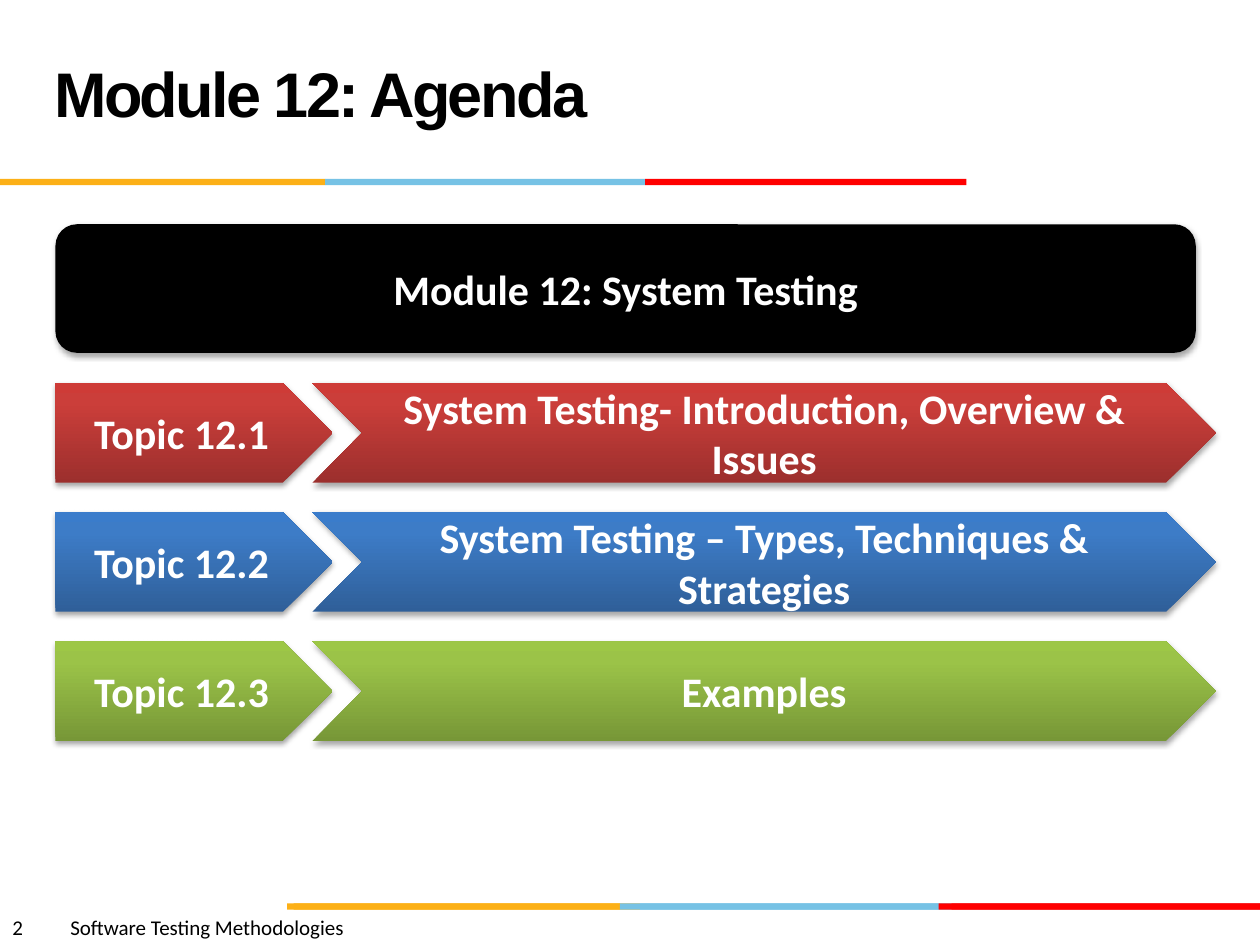
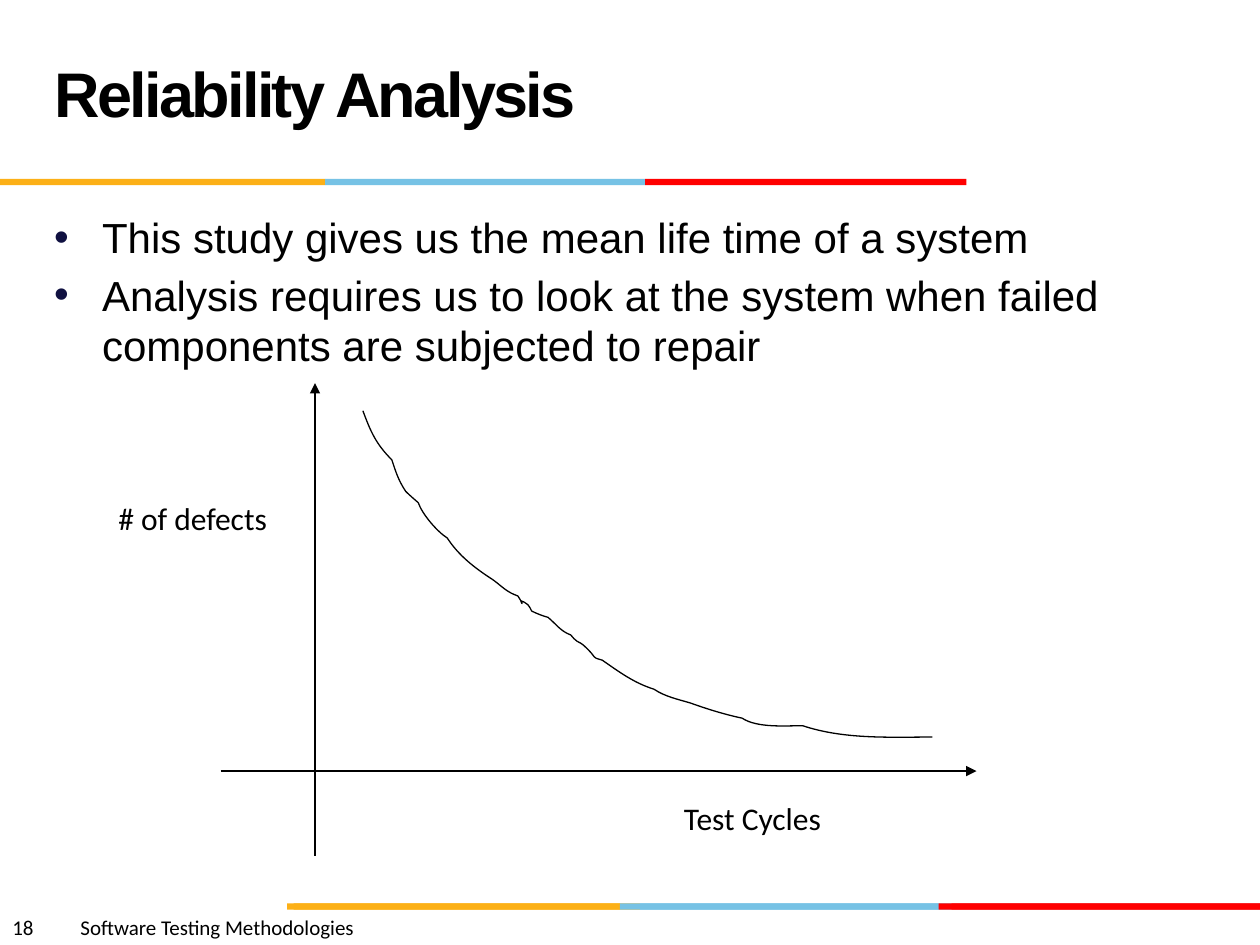
from typing import NamedTuple

from lxml import etree
from pptx import Presentation
from pptx.dml.color import RGBColor
from pptx.enum.shapes import MSO_CONNECTOR, MSO_SHAPE
from pptx.enum.text import MSO_ANCHOR, MSO_AUTO_SIZE, PP_ALIGN
from pptx.oxml import parse_xml
from pptx.oxml.ns import nsdecls, qn
from pptx.util import Inches, Pt

RECT, ROUND = MSO_SHAPE.RECTANGLE, MSO_SHAPE.ROUNDED_RECTANGLE
PLATE, CHEVRON = MSO_SHAPE.PENTAGON, MSO_SHAPE.CHEVRON
STRAIGHT = MSO_CONNECTOR.STRAIGHT
CENTER, LEFT = PP_ALIGN.CENTER, PP_ALIGN.LEFT
MIDDLE, TOP = MSO_ANCHOR.MIDDLE, MSO_ANCHOR.TOP
FIXED = MSO_AUTO_SIZE.NONE

HEX = {
    "black": "000000", "white": "FFFFFF", "gold": "FCB017", "sky": "76C2E5",
    "red": "FF0000", "brick": "E31C24", "bullet": "101141",
}
COURSE = "Software Testing Methodologies"


class Box(NamedTuple):
    x: float
    y: float
    w: float
    h: float

    def emu(self) -> list:
        return [Inches(v) for v in self]


class Band(NamedTuple):
    y: float
    edges: tuple  # left edge of each part, then the right end
    hues: tuple


class Topic(NamedTuple):
    tag: str
    name: str
    shades: tuple  # from bottom to top


HUES = ("gold", "sky", "red")
BANDS = [
    Band(7.17, (2.28, 5.08, 7.55, 10), ("gold", "sky", "brick")),
    Band(7.17, (2.33, 4.92, 7.45, 10), HUES),
    Band(1.42, (0, 2.58, 5.12, 7.67), HUES),
]
TOPICS = [
    Topic("Topic 12.1", "System Testing- Introduction, Overview & Issues",
          ("9C2F2D", "CB3E3A", "CE3B37")),
    Topic("Topic 12.2", "System Testing – Types, Techniques & Strategies",
          ("2F5F99", "3D7CC7", "3A7CCB")),
    Topic("Topic 12.3", "Examples", ("779737", "9BC348", "9DC746")),
]
FIRST, LAST = 3.04, 5.09  # tops of the first and last topic rows
POINTS = [
    "This study gives us the mean life time of a system",
    "Analysis requires us to look at the system when failed "
    "components are subjected to repair",
]
# Defect curve: a start point, then two control points and an end per row
START = (2.88, 3.26)
CURVE = [
    (2.94, 3.42, 2.98, 3.52, 3.11, 3.65),
    (3.14, 3.74, 3.16, 3.81, 3.22, 3.9),
    (3.25, 3.93, 3.32, 3.99, 3.32, 3.99),
    (3.35, 4.08, 3.47, 4.22, 3.55, 4.27),
    (3.64, 4.41, 3.77, 4.51, 3.91, 4.6),
    (3.98, 4.65, 4.02, 4.7, 4.11, 4.73),
    (4.2, 4.87, 4.07, 4.71, 4.19, 4.8),
    (4.2, 4.81, 4.21, 4.83, 4.22, 4.85),
    (4.26, 4.87, 4.31, 4.89, 4.35, 4.9),
    (4.42, 4.96, 4.45, 5.01, 4.53, 5.04),
    (4.55, 5.06, 4.56, 5.08, 4.58, 5.09),
    (4.6, 5.1, 4.62, 5.11, 4.63, 5.12),
    (4.76, 5.24, 4.68, 5.21, 4.78, 5.24),
    (4.91, 5.33, 5.03, 5.42, 5.19, 5.47),
    (5.28, 5.53, 5.38, 5.55, 5.48, 5.58),
    (5.62, 5.63, 5.75, 5.67, 5.89, 5.7),
    (6.01, 5.78, 6.24, 5.76, 6.37, 5.76),
    (6.7, 5.87, 7.06, 5.85, 7.4, 5.85),
]


def rgb(name: str) -> RGBColor:
    return RGBColor.from_string(HEX[name])


def style(para, size: float, face: str = "Calibri", hue: str = "black",
          bold: bool = False) -> None:
    font = para.font
    font.size, font.name, font.bold = Pt(size), face, bold
    font.color.rgb = rgb(hue)


def place(holder, box: Box, anchor) -> None:
    holder.left, holder.top, holder.width, holder.height = box.emu()
    frame = holder.text_frame
    frame.auto_size, frame.vertical_anchor = FIXED, anchor
    frame.word_wrap = True


def shape(slide, kind, box: Box, hue: str = "black"):
    item = slide.shapes.add_shape(kind, *box.emu())
    item.shadow.inherit = False
    item.line.fill.background()
    item.fill.solid()
    item.fill.fore_color.rgb = rgb(hue)
    return item


def label(slide, box: Box, text: str, size: float):
    frame = slide.shapes.add_textbox(*box.emu()).text_frame
    frame.word_wrap = False
    para = frame.paragraphs[0]
    para.text = text
    style(para, size)
    return para


def panel(slide, kind, box: Box, text: str, shades: tuple = ()) -> None:
    """Shape with a soft shadow and bold white text."""
    item = shape(slide, kind, box)
    if shades:
        item.fill.gradient()
        item.fill.gradient_angle = 90
        stops = item.element.spPr.find(".//" + qn("a:gsLst"))
        for old in list(stops):
            stops.remove(old)
        for pos, shade in zip((0, 80, 100), shades):
            stop = etree.SubElement(stops, qn("a:gs"), pos=str(pos * 1000))
            etree.SubElement(stop, qn("a:srgbClr"), val=shade)
    item.element.spPr.find(qn("a:effectLst")).append(parse_xml(
        f'<a:outerShdw {nsdecls("a")} blurRad="{Pt(3.1)}" dist="{Pt(1.8)}" '
        'dir="5400000" rotWithShape="0"><a:srgbClr val="000000">'
        '<a:alpha val="35000"/></a:srgbClr></a:outerShdw>'))
    item.text_frame.vertical_anchor = MIDDLE
    para = item.text_frame.paragraphs[0]
    para.text, para.alignment = text, CENTER
    style(para, 24, hue="white", bold=True)


def start(deck, layout: int, title: str, page: int):
    """New slide with the title, bands and footer all slides share."""
    slide = deck.slides.add_slide(deck.slide_layouts[layout])
    for band in BANDS:
        for x, end, hue in zip(band.edges, band.edges[1:], band.hues):
            shape(slide, RECT, Box(x, band.y, end - x, 0.05), hue)

    head = slide.shapes.title
    place(head, Box(0.33, 0.16, 6.92, 1.25), MIDDLE)
    para = head.text_frame.paragraphs[0]
    para.text, para.alignment = title, LEFT
    para.line_spacing = Pt(36)
    style(para, 36, "Arial", bold=True)
    para.runs[0].font._element.set("spc", "-150")

    # The tab stop follows the width of the page number
    foot = label(slide, Box(0, 7.21, 5, 0.3), f"{page}\t{COURSE}", 12)
    tabs = etree.Element(qn("a:tabLst"))
    stop = Inches(0.38 + 0.08 * len(str(page)))
    etree.SubElement(tabs, qn("a:tab"), pos=str(stop), algn="l")
    foot._p.get_or_add_pPr().insert(0, tabs)
    return slide


def bullets(holder, items: list) -> None:
    frame = holder.text_frame
    for i, text in enumerate(items):
        para = frame.paragraphs[0] if i == 0 else frame.add_paragraph()
        para.text = text
        props = para._p.get_or_add_pPr()
        props.set("marL", str(Inches(0.38)))
        props.set("indent", str(-Inches(0.38)))
        color = etree.SubElement(props, qn("a:buClr"))
        etree.SubElement(color, qn("a:srgbClr"), val=HEX["bullet"])
        etree.SubElement(props, qn("a:buChar"), char="•")
        para.space_before = Pt(4 if i else 0)
        style(para, 24, "Arial")


def arrow(slide, x1: float, y1: float, x2: float, y2: float) -> None:
    line = slide.shapes.add_connector(
        STRAIGHT, Inches(x1), Inches(y1), Inches(x2), Inches(y2))
    line.line.color.rgb = rgb("black")
    line.line.width = Pt(0.75)
    etree.SubElement(line.line._get_or_add_ln(), qn("a:tailEnd"),
                     type="triangle")
    etree.SubElement(line._element.spPr, qn("a:effectLst"))


def bend(curve) -> None:
    """Turn each three straight segments into one Bezier segment."""
    legs = list(curve.element.spPr.iter(qn("a:lnTo")))
    for trio in zip(legs[::3], legs[1::3], legs[2::3]):
        arc = etree.Element(qn("a:cubicBezTo"))
        trio[0].addprevious(arc)
        for leg in trio:
            arc.append(leg[0])
            leg.getparent().remove(leg)


def agenda(deck) -> None:
    slide = start(deck, 5, "Module 12: Agenda", 2)
    pitch = (LAST - FIRST) / (len(TOPICS) - 1)
    for i, topic in enumerate(TOPICS):
        y = FIRST + pitch * i
        panel(slide, PLATE, Box(0.44, y, 2.2, 0.79), topic.tag, topic.shades)
        panel(slide, CHEVRON, Box(2.48, y, 7.17, 0.79), topic.name,
              topic.shades)
    panel(slide, ROUND, Box(0.44, 1.78, 9.05, 1.02),
          "Module 12: System Testing")


def analysis(deck) -> None:
    slide = start(deck, 1, "Reliability Analysis", 18)
    body = slide.placeholders[1]
    place(body, Box(0.33, 1.63, 9, 4.95), TOP)
    bullets(body, POINTS)

    # Axes
    arrow(slide, 2.5, 6.79, 2.5, 3.04)
    arrow(slide, 1.75, 6.12, 7.75, 6.12)
    label(slide, Box(5.33, 6.29, 1.51, 0.4), "Test Cycles", 18)
    label(slide, Box(0.84, 3.91, 1.49, 0.4), "# of defects", 18)

    # Falling defect curve
    pen = slide.shapes.build_freeform(*[Inches(v) for v in START])
    pen.add_line_segments(
        [(Inches(row[i]), Inches(row[i + 1]))
         for row in CURVE for i in (0, 2, 4)], close=False)
    curve = pen.convert_to_shape()
    bend(curve)
    curve.shadow.inherit = False
    curve.fill.background()
    curve.line.color.rgb = rgb("black")
    curve.line.width = Pt(0.75)


def main() -> None:
    deck = Presentation()
    deck.slide_width, deck.slide_height = Inches(10), Inches(7.5)
    agenda(deck)
    analysis(deck)
    deck.save("out.pptx")


if __name__ == "__main__":
    main()
